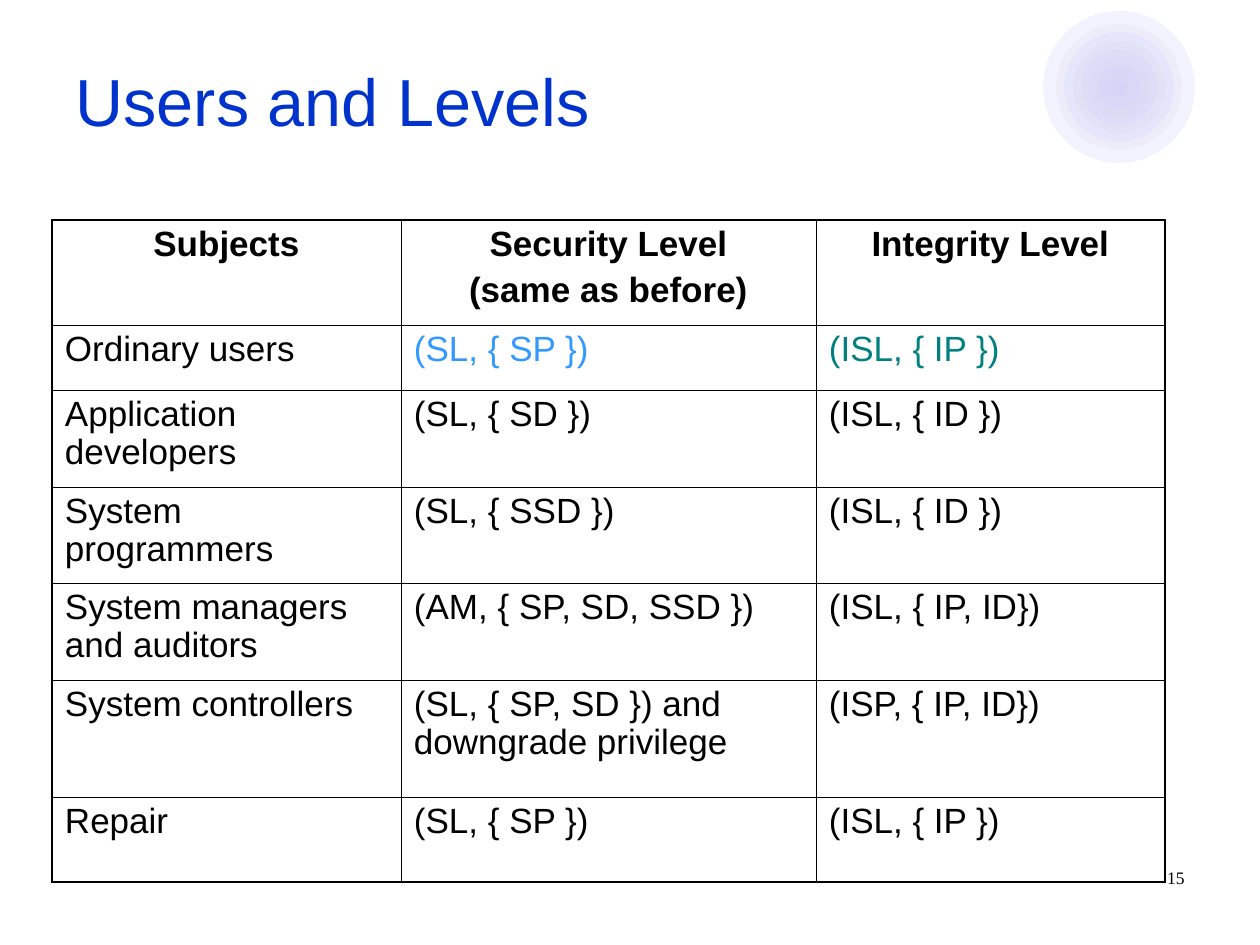
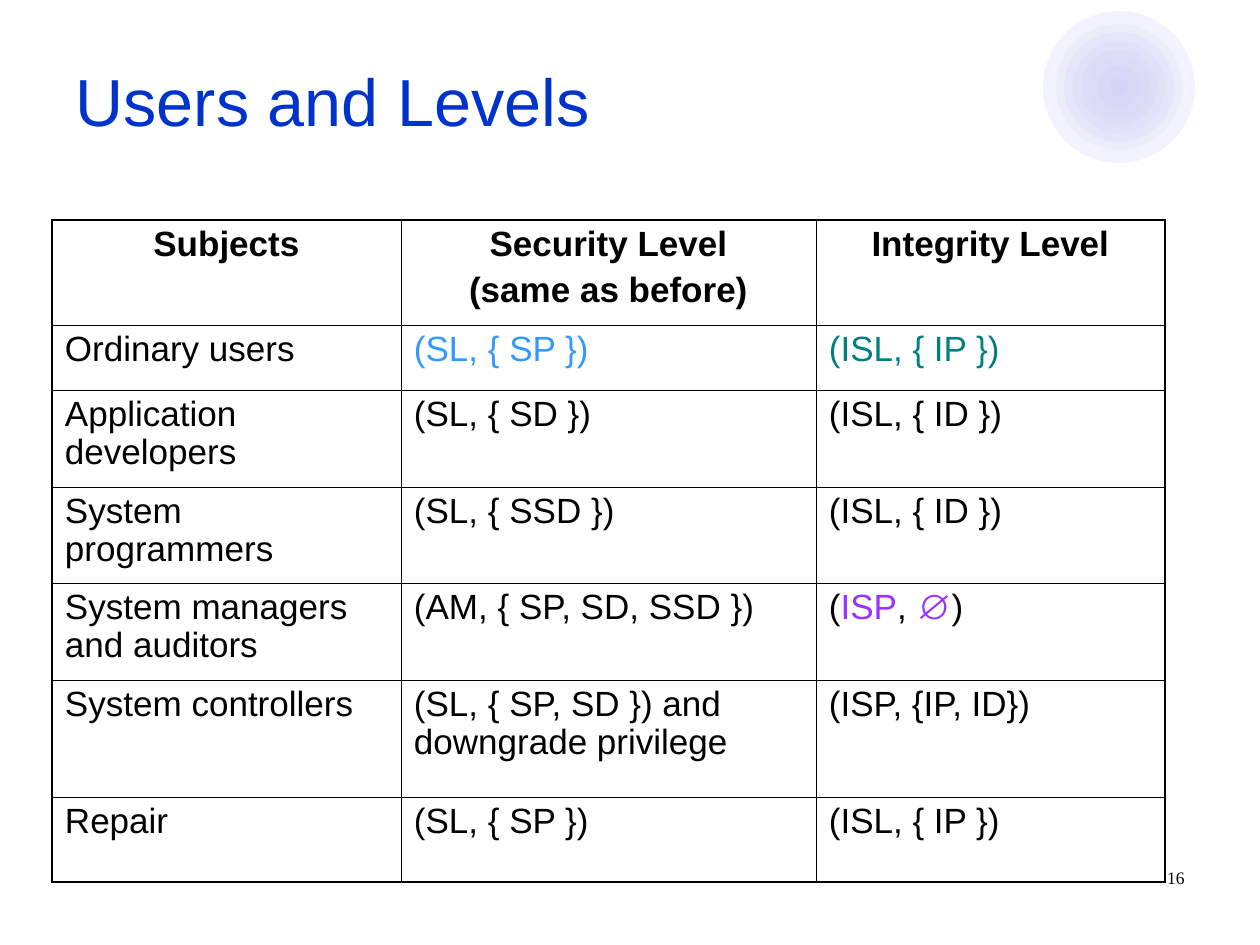
from lxml.etree import SubElement
from pptx import Presentation
from pptx.dml.color import RGBColor
from pptx.enum.shapes import MSO_SHAPE
from pptx.enum.text import MSO_ANCHOR, MSO_AUTO_SIZE, PP_ALIGN
from pptx.oxml import parse_xml
from pptx.oxml.ns import nsdecls, qn
from pptx.util import Emu, Pt

COLOURS = {
    "title": "0033CC",
    "text": "000000",
    "security": "3399FF",
    "integrity": "008080",
    "changed": "9933FF",
    "ring": "CCCCFF",
    "ring_grey": "D9D8EC",
}
PX = 914400 / 126
RING_CENTRE = (1119, 87)
RING_DIAMETERS = [152, 126, 110, 92, 76, 62, 42, 29, 18]
RING_ALPHA = 22
COLUMN_WIDTHS = [349, 415, 349]
ROW_HEIGHTS = [105, 65, 97, 96, 97, 117, 85]
OUTER_BORDER, INNER_BORDER = 1.08, 0.45

HEADER = ["Subjects", "Security Level\n(same as before)", "Integrity Level"]
SUBJECTS = [
    "Ordinary users",
    "Application developers",
    "System programmers",
    "System managers and auditors",
    "System controllers",
    "Repair",
]
SECURITY_LEVELS = [
    [("(SL, { SP })", "security")],
    "(SL, { SD })",
    "(SL, { SSD })",
    "(AM, { SP, SD, SSD })",
    "(SL, { SP, SD }) and downgrade privilege",
    "(SL, { SP })",
]
MANAGERS_BEFORE = "(ISL, { IP, ID})"
MANAGERS_AFTER = [("(", "text"), ("ISP", "changed"), (", ", "text"), ("∅", "changed"), (")", "text")]


def px(length):
    """Turn whole px into EMU."""
    return Emu(round(length * PX))


def level_rows(managers, controllers):
    """Return the table rows with the integrity levels of managers and controllers."""
    integrity_levels = [
        [("(ISL, { IP })", "integrity")],
        "(ISL, { ID })",
        "(ISL, { ID })",
        managers,
        controllers,
        "(ISL, { IP })",
    ]
    return [HEADER, *zip(SUBJECTS, SECURITY_LEVELS, integrity_levels)]


class Deck:
    """Hold the style and the current slide, and draw each kind of element."""

    def __init__(self):
        """Start an empty presentation."""
        self.presentation = Presentation()
        self.presentation.slide_width = px(1260)
        self.presentation.slide_height = px(945)
        self.slide = None

    def start_slide(self):
        """Add a title-only slide and make it current."""
        self.slide = self.presentation.slides.add_slide(self.presentation.slide_layouts[5])

    def run(self, paragraph, text, size, colour="text", bold=False, font="Arial"):
        """Add one formatted run to a paragraph."""
        run = paragraph.add_run()
        run.text = text
        run.font.name = font
        run.font.size = Pt(size)
        run.font.bold = bold
        run.font.color.rgb = RGBColor.from_string(COLOURS[colour])

    def rings(self):
        """Draw the translucent concentric rings in the corner."""
        centre_x, centre_y = RING_CENTRE
        for index, diameter in enumerate(RING_DIAMETERS):
            shape = self.slide.shapes.add_shape(
                MSO_SHAPE.OVAL,
                px(centre_x - diameter / 2),
                px(centre_y - diameter / 2),
                px(diameter),
                px(diameter),
            )
            shape.shadow.inherit = False
            shape.line.fill.background()
            shape.fill.solid()
            colour = COLOURS["ring_grey" if index % 2 else "ring"]
            shape.fill.fore_color.rgb = RGBColor.from_string(colour)
            colour_element = shape.fill._xPr.find(qn("a:solidFill"))[0]
            SubElement(colour_element, qn("a:alpha"), val=str(RING_ALPHA * 1000))

    def title(self, text):
        """Place and fill the title placeholder."""
        title = self.slide.shapes.title
        title.left, title.top, title.width, title.height = px(63), px(21), px(1134), px(158)
        frame = title.text_frame
        frame.auto_size = MSO_AUTO_SIZE.NONE
        frame.vertical_anchor = MSO_ANCHOR.MIDDLE
        paragraph = frame.paragraphs[0]
        paragraph.alignment = PP_ALIGN.LEFT
        self.run(paragraph, text, 38, "title")

    def borders(self, cell, widths):
        """Set the left, right, top and bottom border of a cell."""
        properties = cell._tc.get_or_add_tcPr()
        for index, (side, width) in enumerate(zip("LRTB", widths)):
            border = parse_xml(
                f'<a:ln{side} {nsdecls("a")} w="{Pt(width)}"><a:solidFill>'
                f'<a:srgbClr val="{COLOURS["text"]}"/></a:solidFill></a:ln{side}>'
            )
            properties.insert(index, border)

    def cell(self, cell, content, header):
        """Fill a cell from plain text or from a list of coloured runs."""
        cell.fill.background()
        cell.margin_left = cell.margin_right = px(13)
        cell.margin_top = cell.margin_bottom = px(6)
        if isinstance(content, str):
            lines = [[(line, "text")] for line in content.split("\n")]
        else:
            lines = [content]
        frame = cell.text_frame
        for index, line in enumerate(lines):
            paragraph = frame.add_paragraph() if index else frame.paragraphs[0]
            paragraph.alignment = PP_ALIGN.CENTER if header else PP_ALIGN.LEFT
            paragraph.space_before = Pt(5)
            paragraph.line_spacing = 0.97
            for text, colour in line:
                self.run(paragraph, text, 20, colour, header)

    def table(self, rows):
        """Draw the table of users and levels."""
        last_row, last_column = len(ROW_HEIGHTS) - 1, len(COLUMN_WIDTHS) - 1
        table = self.slide.shapes.add_table(
            len(ROW_HEIGHTS), len(COLUMN_WIDTHS),
            px(52), px(220), px(sum(COLUMN_WIDTHS)), px(sum(ROW_HEIGHTS)),
        ).table
        table.first_row = table.horz_banding = False
        for column, width in zip(table.columns, COLUMN_WIDTHS):
            column.width = px(width)
        for row, height in zip(table.rows, ROW_HEIGHTS):
            row.height = px(height)
        for row, contents in enumerate(rows):
            for column, content in enumerate(contents):
                cell = table.cell(row, column)
                self.cell(cell, content, row == 0)
                edges = (column == 0, column == last_column, row == 0, row == last_row)
                self.borders(cell, [OUTER_BORDER if edge else INNER_BORDER for edge in edges])

    def page_number(self, number):
        """Write the page number at the lower right."""
        frame = self.slide.shapes.add_textbox(px(903), px(861), px(294), px(63)).text_frame
        frame.word_wrap = True
        paragraph = frame.paragraphs[0]
        paragraph.alignment = PP_ALIGN.RIGHT
        self.run(paragraph, str(number), 10, font="Times New Roman")


def main():
    """Build the two slides and save them."""
    deck = Deck()
    versions = [
        level_rows(MANAGERS_BEFORE, "(ISP, { IP, ID})"),
        level_rows(MANAGERS_AFTER, "(ISP, {IP, ID})"),
    ]
    for number, rows in enumerate(versions, start=15):
        deck.start_slide()
        deck.rings()
        deck.title("Users and Levels")
        deck.table(rows)
        deck.page_number(number)
    deck.presentation.save("out.pptx")


if __name__ == "__main__":
    main()
